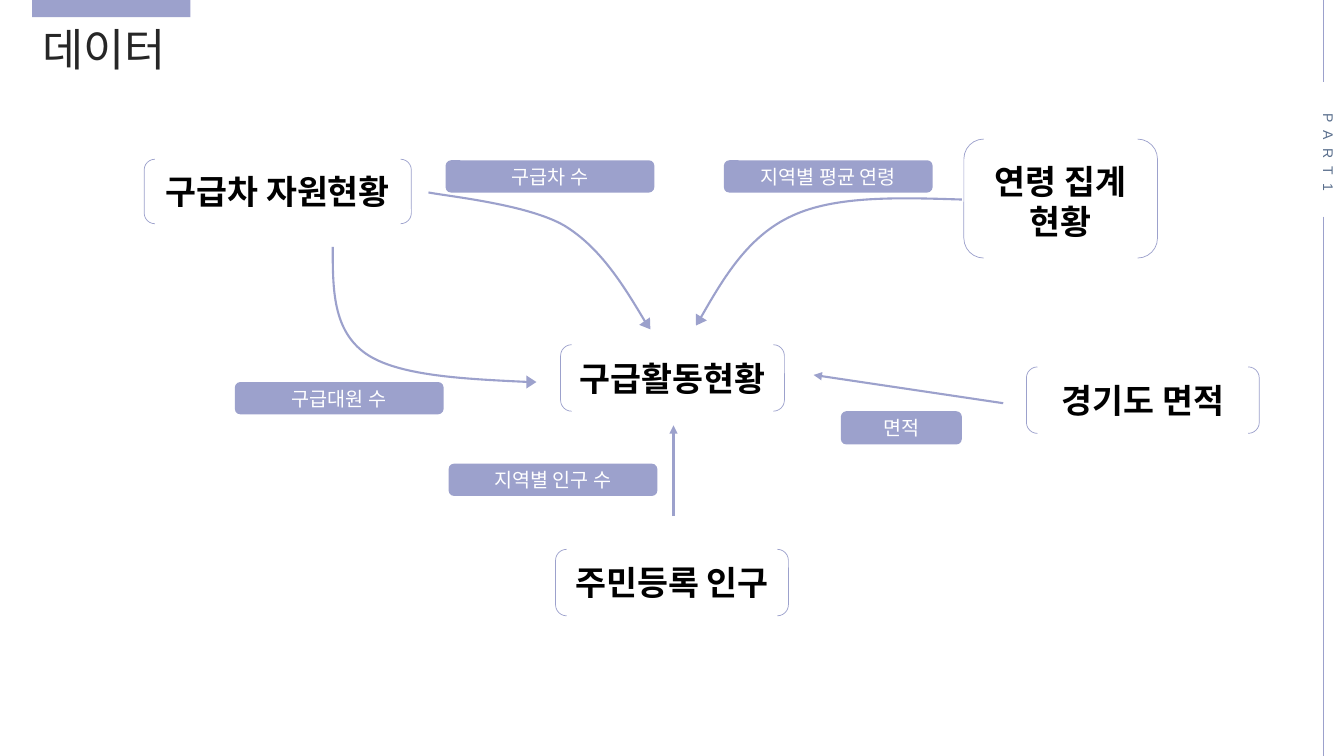
from dataclasses import dataclass
from math import cos, radians, sin

from lxml.etree import SubElement
from pptx import Presentation
from pptx.dml.color import RGBColor
from pptx.enum.shapes import MSO_CONNECTOR, MSO_SHAPE
from pptx.enum.text import MSO_ANCHOR, MSO_AUTO_SIZE, PP_ALIGN
from pptx.oxml.ns import qn
from pptx.util import Inches, Pt


@dataclass(frozen=True)
class Theme:
    accent: str = "9CA1CC"
    title: str = "262626"
    side: str = "5A6F8D"
    node: str = "000000"
    label: str = "FFFFFF"
    font: str = "Arial"
    korean_font: str = "Noto Sans CJK KR"
    title_size: float = 32
    node_size: float = 24
    label_size: float = 14
    side_size: float = 18
    hairline: float = 0.5
    stroke: float = 1.5


@dataclass(frozen=True)
class Box:
    left: float
    top: float
    width: float
    height: float

    def inside(self, left, top, width, height):
        return Box(self.left + left, self.top + top, width, height)

    def point(self, x, y):
        return Inches(self.left + x), Inches(self.top + y)

    def lengths(self):
        return [Inches(value) for value in (self.left, self.top, self.width, self.height)]


THEME = Theme()


def color(value):
    return RGBColor.from_string(value)


def write_text(shape, text, *, size, fill, font=THEME.font, bold=False,
               align=PP_ALIGN.LEFT, anchor=MSO_ANCHOR.TOP, wrap=True, spacing=None):
    frame = shape.text_frame
    frame.word_wrap = wrap
    frame.vertical_anchor = anchor
    frame.text = text
    for paragraph in frame.paragraphs:
        paragraph.alignment = align
        for run in paragraph.runs:
            run.font.size = Pt(size)
            run.font.bold = bold
            run.font.color.rgb = color(fill)
            run.font.name = font
            properties = run.font._element
            SubElement(properties, qn("a:ea")).set("typeface", THEME.korean_font)
            if spacing:
                properties.set("spc", str(spacing * 100))


def add_text(slide, box, text, **text_format):
    shape = slide.shapes.add_textbox(*box.lengths())
    write_text(shape, text, **text_format)
    shape.text_frame.auto_size = MSO_AUTO_SIZE.SHAPE_TO_FIT_TEXT
    return shape


def add_solid(slide, kind, box):
    shape = slide.shapes.add_shape(kind, *box.lengths())
    shape.shadow.inherit = False
    shape.fill.solid()
    shape.fill.fore_color.rgb = color(THEME.accent)
    shape.line.fill.background()
    return shape


def outline(shape, width):
    shape.line.color.rgb = color(THEME.accent)
    shape.line.width = Pt(width)


def add_line(slide, start, end, width, arrow=False):
    line = slide.shapes.add_connector(MSO_CONNECTOR.STRAIGHT, *start, *end)
    outline(line, width)
    if arrow:
        SubElement(line.line._get_or_add_ln(), qn("a:tailEnd")).set("type", "triangle")
    SubElement(line._element.spPr, qn("a:effectLst"))


def add_curve(slide, box, points, angle):
    start, *others = [box.point(*point) for point in points]
    builder = slide.shapes.build_freeform(*start, scale=1.0)
    builder.add_line_segments(others, close=False)
    curve = builder.convert_to_shape()
    curve.shadow.inherit = False
    curve.fill.background()
    outline(curve, THEME.stroke)
    segments = list(curve._element.iter(qn("a:lnTo")))
    for first in range(0, len(segments), 3):
        triple = segments[first:first + 3]
        bezier = SubElement(triple[0].getparent(), qn("a:cubicBezTo"))
        for segment in triple:
            bezier.append(segment[0])
            segment.getparent().remove(segment)

    width, height, advance = 0.13, 0.1, 0.02
    x = points[0][0] + advance * sin(radians(angle))
    y = points[0][1] - advance * cos(radians(angle))
    head = add_solid(slide, MSO_SHAPE.ISOSCELES_TRIANGLE,
                     box.inside(x - width / 2, y - height / 2, width, height))
    head.rotation = angle


def add_node(slide, box, text, text_width, shift=0):
    bracket = slide.shapes.add_shape(MSO_SHAPE.DOUBLE_BRACKET, *box.lengths())
    bracket.shadow.inherit = False
    bracket.fill.background()
    outline(bracket, THEME.hairline)
    text_height = 0.91 if "\n" in text else 0.5
    text_box = box.inside((box.width - text_width) / 2,
                          (box.height - text_height) / 2 + shift, text_width, text_height)
    add_text(slide, text_box, text, size=THEME.node_size, fill=THEME.node,
             bold=True, align=PP_ALIGN.CENTER, wrap=False)


def add_label(slide, box, text):
    shape = add_solid(slide, MSO_SHAPE.ROUNDED_RECTANGLE, box)
    write_text(shape, text, size=THEME.label_size, fill=THEME.label,
               align=PP_ALIGN.CENTER, anchor=MSO_ANCHOR.MIDDLE)


def add_header(slide, box):
    add_solid(slide, MSO_SHAPE.RECTANGLE, box.inside(0, 0, box.width, 0.17))
    add_text(slide, box.inside(0, 0.17, 1.55, 0.64), "데이터", size=THEME.title_size,
             fill=THEME.title, font=THEME.korean_font, wrap=False)


def add_side_rail(slide, box):
    center = box.width / 2
    for start, end in ((0, 0.81), (2.15, box.height)):
        add_line(slide, box.point(center, start), box.point(center, end), THEME.hairline)
    side_text = add_text(slide, box.inside(0, 1.03, box.width, 0.97), "PART1",
                         size=10, fill=THEME.side, wrap=False, spacing=6)
    side_text.text_frame._txBody.bodyPr.set("vert", "eaVert")


def add_diagram(slide, box):
    nodes = (
        ((0.03, 0.28, 2.65, 0.64), "구급차 자원현황", 2.65, 0),
        ((4.16, 2.12, 2.22, 0.66), "구급활동현황", 2.22, 0),
        ((8.16, 0.08, 1.92, 1.18), "연령 집계\n현황", 1.64, 0.03),
        ((4.11, 4.15, 2.31, 0.66), "주민등록 인구", 2.31, 0),
        ((8.78, 2.34, 2.31, 0.66), "경기도 면적", 1.98, 0),
    )
    curves = (
        (((5.54, 1.87), (5.78, 1.45), (6.02, 1.04), (6.46, 0.84),
          (6.89, 0.64), (7.52, 0.66), (8.14, 0.68)), 211.9),
        (((5.01, 1.91), (4.79, 1.54), (4.56, 1.16), (4.2, 0.94),
          (3.84, 0.73), (3.06, 0.65), (2.85, 0.61)), 145),
        (((3.85, 2.49), (3.2, 2.46), (2.55, 2.43), (2.23, 2.21),
          (1.9, 1.98), (1.9, 1.57), (1.9, 1.15)), 90),
    )
    arrows = (((5.28, 3.82), (5.28, 2.92)), ((8.55, 2.7), (6.67, 2.42)))
    labels = (
        ((3.05, 3.3, 2.07, 0.32), "지역별 인구 수"),
        ((5.78, 0.29, 2.07, 0.32), "지역별 평균 연령"),
        ((3.02, 0.29, 2.07, 0.32), "구급차 수"),
        ((0.93, 2.49, 2.07, 0.32), "구급대원 수"),
        ((6.94, 2.78, 1.2, 0.33), "면적"),
    )
    for place, text, text_width, shift in nodes:
        add_node(slide, box.inside(*place), text, text_width, shift)
    for points, angle in curves:
        add_curve(slide, box, points, angle)
    for start, end in arrows:
        add_line(slide, box.point(*start), box.point(*end), THEME.stroke, arrow=True)
    for place, text in labels:
        add_label(slide, box.inside(*place), text)


def main():
    presentation = Presentation()
    presentation.slide_width = Inches(13.33)
    presentation.slide_height = Inches(7.5)
    slide = presentation.slides.add_slide(presentation.slide_layouts[6])
    add_header(slide, Box(0.32, 0, 1.57, 0.81))
    add_side_rail(slide, Box(12.94, 0, 0.37, 7.5))
    add_diagram(slide, Box(1.4, 1.3, 11.1, 4.9))
    presentation.save("out.pptx")


if __name__ == "__main__":
    main()
